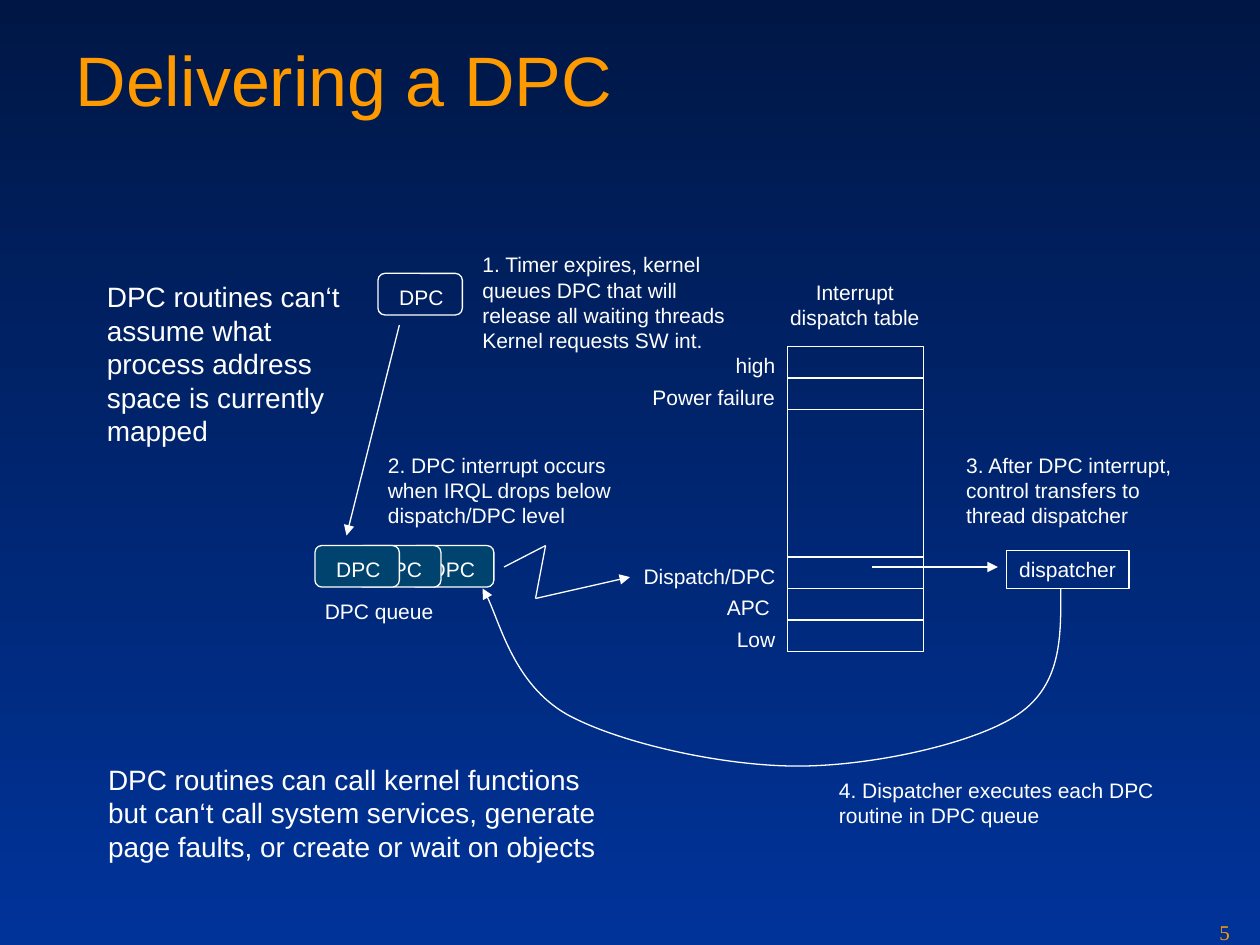
from lxml.etree import SubElement
from pptx import Presentation
from pptx.dml.color import RGBColor
from pptx.enum.shapes import MSO_CONNECTOR, MSO_SHAPE
from pptx.enum.text import MSO_ANCHOR, MSO_AUTO_SIZE, PP_ALIGN
from pptx.oxml.ns import qn
from pptx.util import Inches, Pt

COLORS = {"top": "001746", "bottom": "003399", "title": "FE9900",
          "text": "FFFFFF", "queued": "00436E"}
LINE_WIDTH = Pt(0.75)
DPC_SIZE = (0.67, 0.33)


def color(name):
    return RGBColor.from_string(COLORS[name])


def write(shape, text, size=12, font="Arial", fill="text", align=PP_ALIGN.LEFT,
          anchor=MSO_ANCHOR.TOP, wrap=False, grow=True):
    frame = shape.text_frame
    frame.word_wrap = wrap
    frame.auto_size = MSO_AUTO_SIZE.SHAPE_TO_FIT_TEXT if grow else MSO_AUTO_SIZE.NONE
    frame.vertical_anchor = anchor
    if align == PP_ALIGN.LEFT:
        frame.margin_right = 0  # slack, so that tight labels stay on one line
    paragraph = frame.paragraphs[0]
    paragraph.text = text.replace("\n", "\v")
    paragraph.alignment = align
    for run in paragraph.runs:
        run.font.size = Pt(size)
        run.font.name = font
        run.font.color.rgb = color(fill)


def add_note(shapes, box, text, **text_format):
    note = shapes.add_textbox(*map(Inches, box))
    write(note, text, **text_format)


def add_box(shapes, box, kind=MSO_SHAPE.RECTANGLE, fill=None):
    outline = shapes.add_shape(kind, *map(Inches, box))
    outline.shadow.inherit = False
    if fill:
        outline.fill.solid()
        outline.fill.fore_color.rgb = color(fill)
    else:
        outline.fill.background()
    style_line(outline)
    return outline


def style_line(shape, arrow=False):
    shape.line.color.rgb = color("text")
    shape.line.width = LINE_WIDTH
    if arrow:
        SubElement(shape.line._get_or_add_ln(), qn("a:tailEnd"), type="triangle")


def add_line(shapes, start, end, arrow=False):
    line = shapes.add_connector(MSO_CONNECTOR.STRAIGHT, *map(Inches, (*start, *end)))
    style_line(line, arrow)
    SubElement(line._element.spPr, qn("a:effectLst"))


def add_curve(shapes, points):
    """Draw an arrow through Bezier points: a start, then three per segment."""
    start, *rest = [tuple(map(Inches, point)) for point in points]
    builder = shapes.build_freeform(*start)
    builder.add_line_segments(rest, close=False)
    curve = builder.convert_to_shape()
    outline = curve._element.spPr.find(".//" + qn("a:path"))
    steps = outline.findall(qn("a:lnTo"))
    for first in range(0, len(steps), 3):
        bezier = SubElement(outline, qn("a:cubicBezTo"))
        for step in steps[first:first + 3]:
            bezier.append(step[0])
            outline.remove(step)
    curve.shadow.inherit = False
    curve.fill.background()
    style_line(curve, arrow=True)


def add_dpc(slide, left, top, fill=None):
    dpc = slide.shapes.add_group_shape().shapes
    add_box(dpc, (left, top, *DPC_SIZE), MSO_SHAPE.ROUNDED_RECTANGLE, fill)
    add_note(dpc, (left + 0.07, top + 0.04, 0.55, 0.3), "DPC")


def add_queue(slide, left, top):
    for offset in (0.75, 0.33, 0):
        add_dpc(slide, left + offset, top, "queued")
    add_note(slide.shapes, (left - 0.02, top + 0.37, 1.06, 0.3), "DPC queue")


def add_dispatch_table(slide, left, top, width):
    add_note(slide.shapes, (left - 0.08, top - 0.58, 1.23, 0.5),
             "Interrupt\ndispatch table", align=PP_ALIGN.CENTER)
    rows = [("high", 0.51, 0.25), ("Power failure", 1.17, 0.25), (None, 0, 1.17),
            ("Dispatch/DPC", 1.24, 0.25), ("APC", 0.54, 0.25), ("Low", 0.5, 0.25)]
    for label, label_width, height in rows:
        add_box(slide.shapes, (left, top, width, height))
        if label:
            indent = 0.04 if label == "APC" else 0
            add_note(slide.shapes, (left - label_width - indent, top, label_width, 0.3), label)
        top += height


def add_interrupt_bolt(slide, left, top):
    corners = [(left, top + 0.17), (left + 0.33, top),
               (left + 0.25, top + 0.42), (left + 1, top + 0.25)]
    for index, (start, end) in enumerate(zip(corners, corners[1:])):
        add_line(slide.shapes, start, end, arrow=index == 2)


def add_dispatcher(slide, left, top):
    dispatcher = add_box(slide.shapes, (left, top, 0.97, 0.3))
    write(dispatcher, "dispatcher")
    add_line(slide.shapes, (left - 1.07, top + 0.13), (left - 0.07, top + 0.13), arrow=True)


def add_notes(slide):
    notes = [
        ((0.76, 6, 4.07, 0.9), 16, "DPC routines can call kernel functions\n"
         "but can‘t call system services, generate\npage faults, or create or wait on objects"),
        ((0.75, 2.17, 2.05, 1.44), 16, "DPC routines can‘t\nassume what\n"
         "process address\nspace is currently\nmapped"),
        ((3.73, 1.95, 2.12, 0.9), 12, "1. Timer expires, kernel\nqueues DPC that will\n"
         "release all waiting threads\nKernel requests SW int."),
        ((2.98, 3.54, 1.98, 0.7), 12, "2. DPC interrupt occurs\nwhen IRQL drops below\n"
         "dispatch/DPC level"),
        ((7.57, 3.54, 1.84, 0.7), 12, "3. After DPC interrupt,\ncontrol transfers to\n"
         "thread dispatcher"),
        ((6.56, 6.12, 2.7, 0.5), 12, "4. Dispatcher executes each DPC\nroutine in DPC queue"),
    ]
    for box, size, text in notes:
        add_note(slide.shapes, box, text, size=size)


def add_title(slide, box):
    title = slide.shapes.title
    title.left, title.top, title.width, title.height = map(Inches, box)
    write(title, "Delivering a DPC", size=40, fill="title", wrap=True, grow=False)


def paint_background(slide):
    fill = slide.background.fill
    fill.gradient()
    fill.gradient_angle = 270
    for stop, name in zip(fill.gradient_stops, ("top", "bottom")):
        stop.color.rgb = color(name)


def main():
    deck = Presentation()
    deck.slide_width, deck.slide_height = Inches(10), Inches(7.5)
    slide = deck.slides.add_slide(deck.slide_layouts[5])
    paint_background(slide)
    add_title(slide, (0.5, 0.24, 9, 1.25))
    add_notes(slide)
    add_dispatch_table(slide, 6.25, 2.75, 1.08)
    add_dpc(slide, 3, 2.17)
    add_queue(slide, 2.5, 4.33)
    add_line(slide.shapes, (3.17, 2.58), (2.75, 4.25), arrow=True)
    add_interrupt_bolt(slide, 4, 4.33)
    add_dispatcher(slide, 7.99, 4.37)
    add_curve(slide.shapes, [
        (8.42, 4.67), (8.42, 5.05), (8.43, 5.43), (8.08, 5.67),
        (7.74, 5.9), (6.93, 6.08), (6.33, 6.08),
        (5.74, 6.08), (4.92, 5.9), (4.5, 5.67),
        (4.08, 5.43), (3.94, 4.83), (3.83, 4.67)])
    add_note(slide.shapes, (9.58, 7.25, 0.42, 0.25), "5", font="Times New Roman",
             fill="title", wrap=True, grow=False)
    deck.save("out.pptx")


if __name__ == "__main__":
    main()
